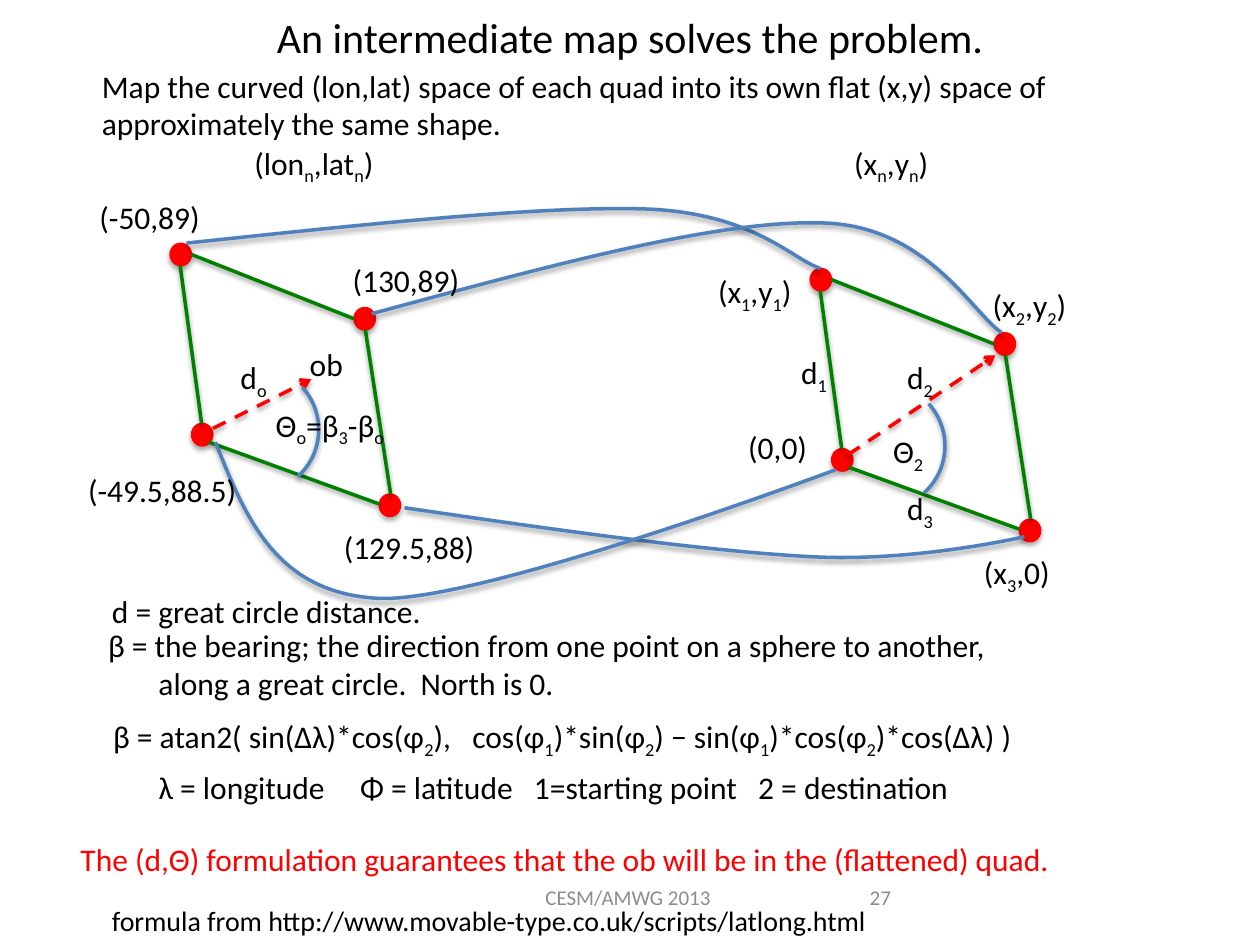
import pptx
from lxml import etree
from pptx.dml.color import RGBColor
from pptx.enum.dml import MSO_LINE
from pptx.enum.shapes import MSO_CONNECTOR, MSO_SHAPE
from pptx.enum.text import MSO_ANCHOR, MSO_AUTO_SIZE, PP_ALIGN
from pptx.oxml.ns import qn
from pptx.util import Inches, Pt

RED, GREEN, BLUE, BLACK, GRAY = "FF0000", "008000", "4F81BD", "000000", "8C8C8C"

TITLE = "An intermediate map solves the problem."

# Both quads have the same geometry; the flat one is shifted.
QUAD_SHIFTS = [(0, 0), (5.08, 0.2)]
CORNERS = [(2.81, 2.44), (3.01, 3.92), (1.35, 1.93), (1.52, 3.36)]
DOT = (0.17, 0.18)
EDGES = [
    (2.9, 2.62, 3.1, 3.92),
    (1.66, 3.51, 3.01, 4),
    (1.43, 2.11, 1.6, 3.36),
    (2.81, 2.53, 1.52, 2.02),
]
ARROWS = [(1.69, 3.4, 2.47, 3.01), (6.73, 3.61, 7.9, 2.82)]
ARCS = [(6.5, 3.04), (1.53, 2.91)]

# Start point, then two control points and an end point per segment.
CURVES = [
    [(1.48, 1.93), (2.9, 1.78), (4.31, 1.63), (5.15, 1.66),
     (5.99, 1.7), (6.29, 2.06), (6.51, 2.13)],
    [(2.95, 2.49), (4.32, 2.12), (5.7, 1.74), (6.53, 1.77),
     (7.36, 1.79), (7.72, 2.49), (7.95, 2.64)],
    [(3.21, 4.03), (4.43, 4.21), (5.64, 4.38), (6.46, 4.42),
     (7.28, 4.46), (8.13, 4.26), (8.13, 4.26)],
    [(1.71, 3.51), (1.95, 4.11), (2.19, 4.71), (3.01, 4.75),
     (3.83, 4.78), (6.63, 3.73), (6.63, 3.73)],
]

# Left, top, width, text; the character after "_" is a subscript.
LABELS = [
    (2.36, 2.69, 0.47, "ob"),
    (0.69, 1.52, 1.01, "(-50,89)"),
    (0.6, 3.69, 1.39, "(-49.5,88.5)"),
    (2.63, 4.14, 1.25, "(129.5,88)"),
    (2.7, 2.02, 1.06, "(130,89)"),
    (1.92, 1.09, 1.18, "(lon_n,lat_n)"),
    (5.6, 2.11, 0.81, "(x_1,y_1)"),
    (5.84, 3.35, 0.67, "(0,0)"),
    (7.71, 4.34, 0.76, "(x_3,0)"),
    (7.78, 2.22, 0.81, "(x_2,y_2)"),
    (6.68, 1.09, 0.82, "(x_n,y_n)"),
    (6.26, 2.75, 0.42, "d_1"),
    (7.1, 2.79, 0.42, "d_2"),
    (7.1, 3.83, 0.42, "d_3"),
    (6.99, 3.38, 0.45, "Θ_2"),
    (2.09, 3.17, 1.1, "Θ_o=β_3-β_o"),
    (1.81, 2.79, 0.42, "d_o"),
    (0.8, 5.64, 7.47, "β = atan2( sin(Δλ)*cos(φ_2),   cos(φ_1)*sin(φ_2)"
                      " − sin(φ_1)*cos(φ_2)*cos(Δλ) )"),
    (1.16, 6.05, 6.55, "λ = longitude     Φ = latitude   1=starting point   2 = destination"),
    (0.79, 4.65, 2.69, "d = great circle distance."),
]
INTRO = ("Map the curved (lon,lat) space of each quad into its own flat (x,y) "
         "space of approximately the same shape.")
BEARING = ("β = the bearing; the direction from one point on a sphere to another, "
           "along a great circle.  North is 0.")
CONCLUSION = "The (d,Θ) formulation guarantees that the ob will be in the (flattened) quad."
CREDIT = "formula from http://www.movable-type.co.uk/scripts/latlong.html"


def rgb(value):
    return RGBColor.from_string(value)


def format_run(r, size, color):
    r.font.name = "Calibri"
    r.font.size = Pt(size)
    r.font.color.rgb = rgb(color)


def add_text(s, left, top, width, text, height=0.4, size=18, color=BLACK, wrap=False):
    sp = s.shapes.add_textbox(Inches(left), Inches(top), Inches(width), Inches(height))
    tf = sp.text_frame
    tf.word_wrap = wrap
    tf.auto_size = MSO_AUTO_SIZE.SHAPE_TO_FIT_TEXT
    p = tf.paragraphs[0]
    first, *rest = text.split("_")
    pieces = [(first, False)]
    for part in rest:
        pieces += [(part[0], True), (part[1:], False)]
    for piece, is_subscript in pieces:
        if piece:
            r = p.add_run()
            r.text = piece
            format_run(r, size, color)
            if is_subscript:
                r.font._element.set("baseline", "-25000")
    return sp


def add_footer(s, left, width, text, align):
    sp = add_text(s, left, 6.92, width, text, size=12, color=GRAY, wrap=True)
    sp.text_frame.auto_size = MSO_AUTO_SIZE.NONE
    sp.text_frame.vertical_anchor = MSO_ANCHOR.MIDDLE
    sp.text_frame.paragraphs[0].alignment = align


def style_line(sp, color, width=2, alpha=38, dist=1.6):
    """Set the line, then a soft shadow that falls straight down."""
    sp.line.color.rgb = rgb(color)
    sp.line.width = Pt(width)
    effects = etree.SubElement(sp._element.spPr, qn("a:effectLst"))
    shadow = etree.SubElement(
        effects, qn("a:outerShdw"), blurRad=str(Pt(3.1)), dist=str(Pt(dist)),
        dir="5400000", rotWithShape="0")
    black = etree.SubElement(shadow, qn("a:srgbClr"), val=BLACK)
    etree.SubElement(black, qn("a:alpha"), val=str(alpha * 1000))


def add_line(s, ends, color):
    line = s.shapes.add_connector(MSO_CONNECTOR.STRAIGHT, *[Inches(v) for v in ends])
    style_line(line, color)
    return line


def add_arrow(s, ends):
    line = add_line(s, ends, RED)
    line.line.dash_style = MSO_LINE.DASH
    etree.SubElement(line.line._get_or_add_ln(), qn("a:tailEnd"), type="arrow")


def add_dot(s, left, top):
    sp = s.shapes.add_shape(MSO_SHAPE.OVAL, Inches(left), Inches(top),
                            *[Inches(v) for v in DOT])
    sp.fill.solid()
    sp.fill.fore_color.rgb = rgb(RED)
    style_line(sp, RED, 0.75, alpha=35, dist=1.8)


def add_arc(s, left, top):
    sp = s.shapes.add_shape(MSO_SHAPE.ARC, Inches(left), Inches(top), Inches(1), Inches(1))
    sp.rotation = 47.9
    sp.fill.background()
    style_line(sp, BLUE)


def add_curve(s, points):
    """Build a freeform and turn each three line steps into a Bézier segment."""
    start, *rest = [(Inches(x), Inches(y)) for x, y in points]
    builder = s.shapes.build_freeform(*start)
    builder.add_line_segments(rest, close=False)
    sp = builder.convert_to_shape()
    steps = list(sp._element.iter(qn("a:lnTo")))
    outline = steps[0].getparent()
    for i in range(0, len(steps), 3):
        bezier = etree.SubElement(outline, qn("a:cubicBezTo"))
        for step in steps[i:i + 3]:
            bezier.append(step[0])
            outline.remove(step)
    sp.fill.background()
    style_line(sp, BLUE)


def main():
    prs = pptx.Presentation()
    prs.slide_width, prs.slide_height = Inches(10), Inches(7.5)
    s = prs.slides.add_slide(prs.slide_layouts[5])

    title = s.shapes.title
    title.left, title.top = Inches(0.5), Inches(-0.01)
    title.width, title.height = Inches(9), Inches(0.6)
    tf = title.text_frame
    tf.text = TITLE
    tf.vertical_anchor = MSO_ANCHOR.MIDDLE
    tf.paragraphs[0].alignment = PP_ALIGN.CENTER
    format_run(tf.paragraphs[0].runs[0], 24, BLACK)

    for (dx, dy), arrow in zip(QUAD_SHIFTS, ARROWS):
        for x, y in CORNERS:
            add_dot(s, x + dx, y + dy)
        add_arrow(s, arrow)
        for x1, y1, x2, y2 in EDGES:
            add_line(s, (x1 + dx, y1 + dy, x2 + dx, y2 + dy), GREEN)
    for curve in CURVES:
        add_curve(s, curve)
    for corner in ARCS:
        add_arc(s, *corner)

    for label in LABELS:
        add_text(s, *label)
    add_text(s, 0.71, 0.48, 7.75, INTRO, height=0.71, wrap=True)
    bearing = add_text(s, 0.76, 4.92, 7.34, BEARING, height=0.71, wrap=True)
    pPr = bearing.text_frame.paragraphs[0]._p.get_or_add_pPr()
    pPr.set("marL", str(Inches(0.4)))
    pPr.set("indent", str(Inches(-0.4)))
    add_text(s, 0.54, 6.62, 8.01, CONCLUSION, color=RED)
    add_text(s, 0.79, 7.12, 6.33, CREDIT, height=0.37, size=16)
    add_footer(s, 4.02, 1.93, "CESM/AMWG 2013", PP_ALIGN.CENTER)
    add_footer(s, 6.69, 0.48, "27", PP_ALIGN.RIGHT)

    prs.save("out.pptx")


if __name__ == "__main__":
    main()
